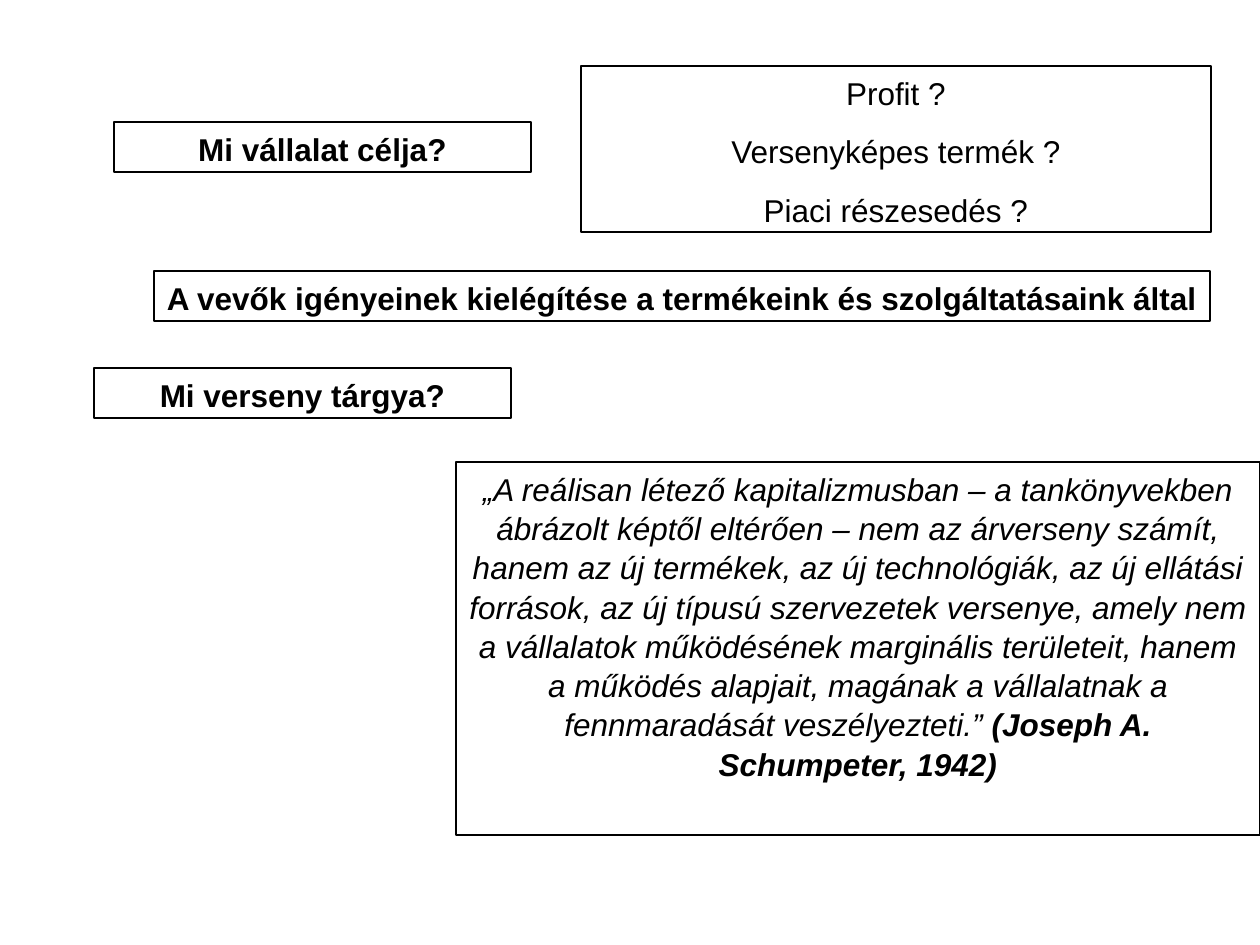
import pptx
import pptx.dml.color
import pptx.enum.text
import pptx.util

EMU_PER_PX = 914400 / 126
COLORS = {"paper": "FFFFFF", "ink": "000000"}
QUOTE = (
    "„A reálisan létező kapitalizmusban – a tankönyvekben ábrázolt képtől "
    "eltérően – nem az árverseny számít, hanem az új termékek, az új "
    "technológiák, az új ellátási források, az új típusú szervezetek "
    "versenye, amely nem a vállalatok működésének marginális területeit, "
    "hanem a működés alapjait, magának a vállalatnak a fennmaradását "
    "veszélyezteti.” "
)
QUESTION_SIZE = (417, 50)


def px(length):
    """Convert whole pixels to EMU."""
    return pptx.util.Emu(round(length * EMU_PER_PX))


def color(name):
    """Look up a palette colour."""
    return pptx.dml.color.RGBColor.from_string(COLORS[name])


def add_run(paragraph, wording, bold=False, italic=False):
    """Append one formatted run to a paragraph."""
    run = paragraph.add_run()
    run.text = wording
    run.font.name = "Arial"
    run.font.size = pptx.util.Pt(18)
    run.font.bold = bold
    run.font.italic = italic
    run.font.color.rgb = color("ink")


def add_framed_text(slide, position, size, paragraphs, wrap=True):
    """Add an outlined box holding centred paragraphs of (text, bold, italic) runs."""
    box = slide.shapes.add_textbox(*map(px, position + size))
    box.line.color.rgb = color("ink")
    box.line.width = pptx.util.Pt(0.75)
    frame = box.text_frame
    frame.word_wrap = wrap
    frame.auto_size = pptx.enum.text.MSO_AUTO_SIZE.NONE
    for index, runs in enumerate(paragraphs):
        paragraph = frame.add_paragraph() if index else frame.paragraphs[0]
        paragraph.alignment = pptx.enum.text.PP_ALIGN.CENTER
        paragraph.space_before = pptx.util.Pt(11.2)
        paragraph.line_spacing = 1.04
        for run in runs:
            add_run(paragraph, *run)


def main():
    """Build the slide on company goals and competition."""
    deck = pptx.Presentation()
    deck.slide_width, deck.slide_height = px(1260), px(945)
    slide = deck.slides.add_slide(deck.slide_layouts[6])
    slide.background.fill.solid()
    slide.background.fill.fore_color.rgb = color("paper")

    schumpeter = [(QUOTE, False, True), ("(Joseph A. Schumpeter, 1942)", True, True)]
    goals = ["Profit ?", "Versenyképes termék ?", "Piaci részesedés ?"]
    answer = "A vevők igényeinek kielégítése a termékeink és szolgáltatásaink által"

    add_framed_text(slide, (456, 462), (804, 373), [schumpeter])
    add_framed_text(slide, (114, 122), QUESTION_SIZE, [[("Mi vállalat célja?", True)]])
    add_framed_text(slide, (581, 66), (630, 166), [[(goal,)] for goal in goals])
    add_framed_text(slide, (94, 368), QUESTION_SIZE, [[("Mi verseny tárgya?", True)]])
    add_framed_text(slide, (154, 271), (1056, 50), [[(answer, True)]], wrap=False)

    deck.save("out.pptx")


if __name__ == "__main__":
    main()
